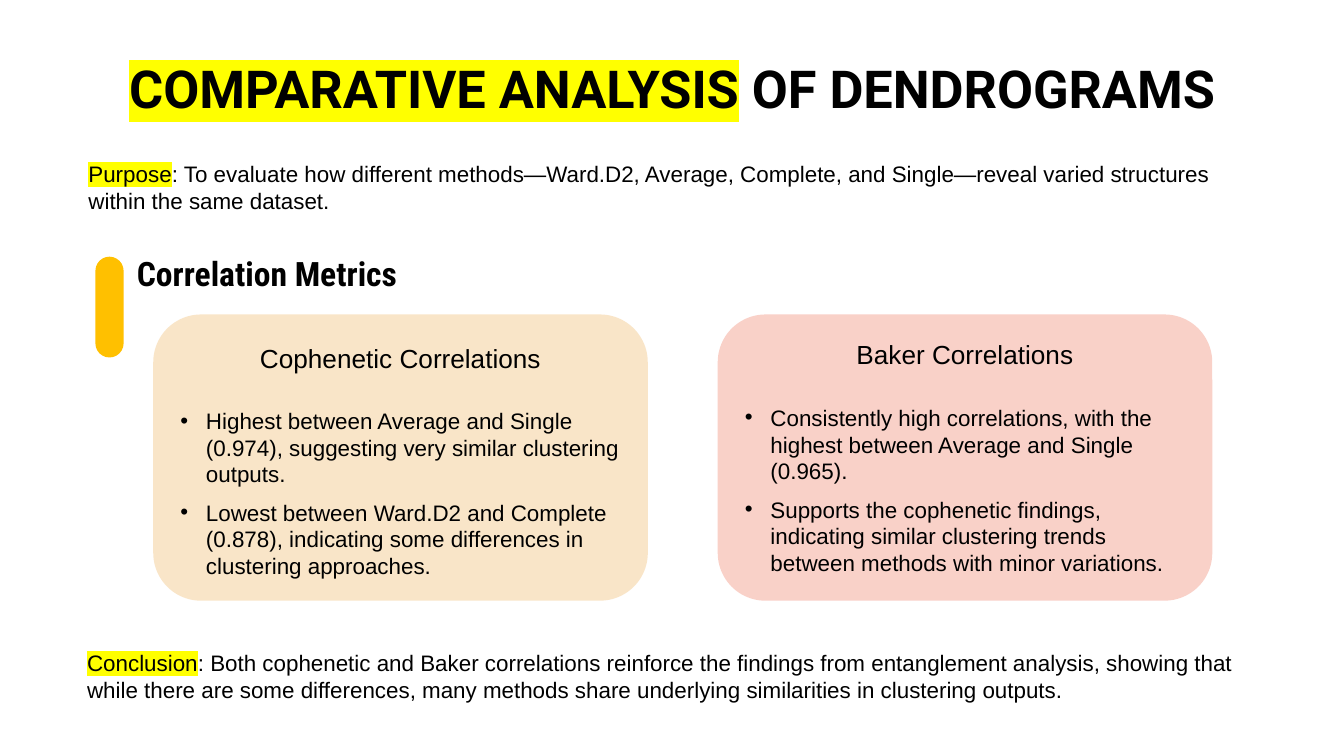
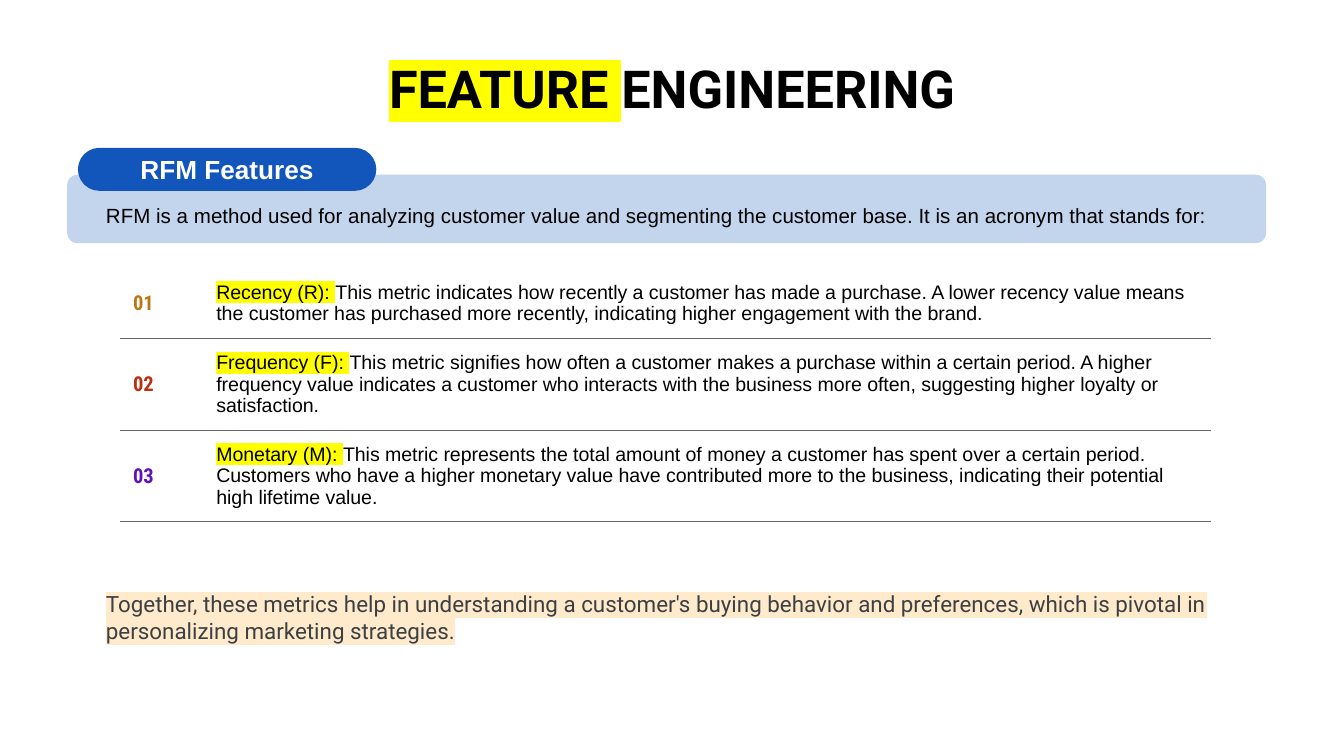
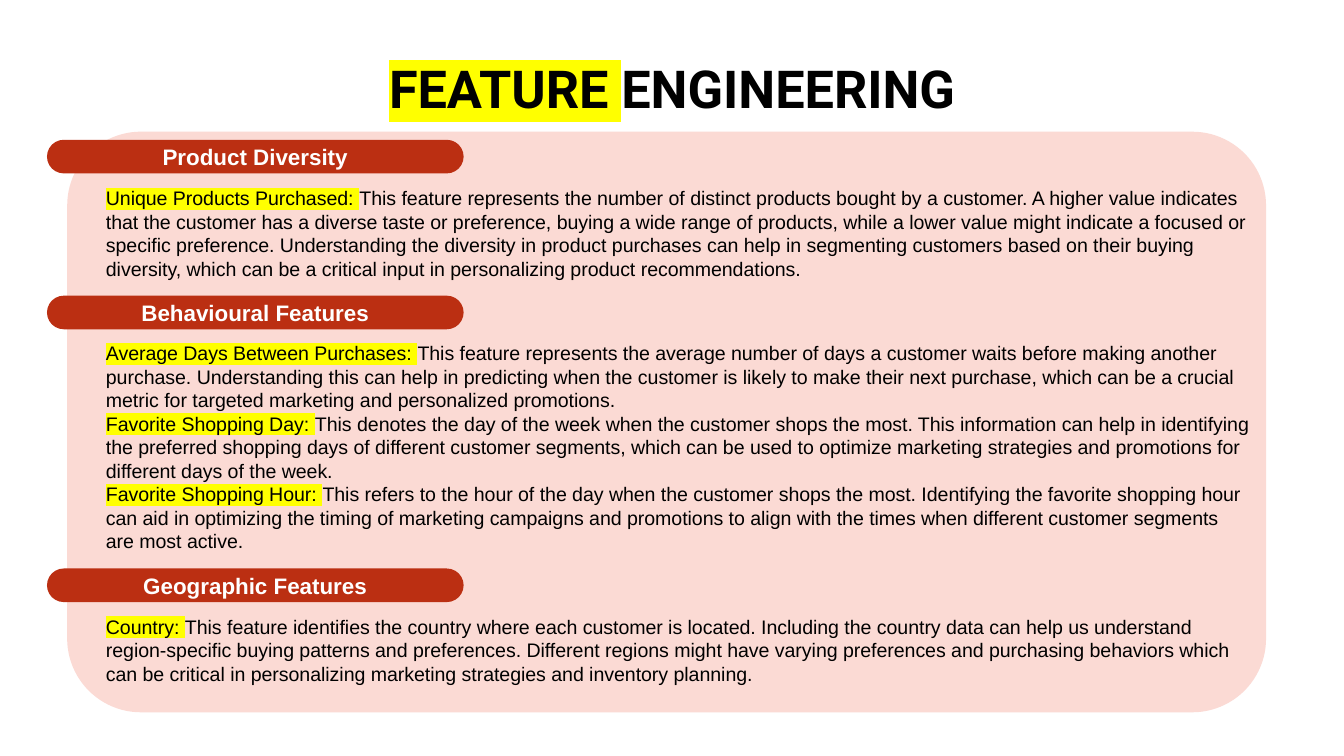
from lxml import etree
from pptx import Presentation
from pptx.dml.color import RGBColor
from pptx.enum.shapes import MSO_SHAPE
from pptx.enum.text import MSO_ANCHOR, MSO_AUTO_SIZE, PP_ALIGN
from pptx.oxml.ns import qn
from pptx.util import Inches, Pt

COLORS = {
    "black": "000000", "white": "FFFFFF", "yellow": "FFFF00", "cream": "FFEACC",
    "gray": "3C4043", "rule": "666666", "amber": "FFC000", "orange": "E99B27",
    "coral": "EA4827", "pink": "FBDAD4", "blue": "1256BB", "brown": "B97613",
    "red": "BB2F12", "purple": "5F12BB",
}
MID = MSO_ANCHOR.MIDDLE


def rgb(name):
    return RGBColor.from_string(COLORS[name])


def sub(parent, tag, **attrs):
    return etree.SubElement(parent, qn(tag), attrs)


def write(p, text, lead="", size=12, font="Arial", color="black", bold=False,
          mark="yellow", align=None, leading=None, before=None, after=None,
          bullet=False):
    if bullet:
        pPr = p._p.get_or_add_pPr()
        pPr.set("marL", str(Inches(0.19)))
        pPr.set("indent", str(-Inches(0.19)))
        sub(sub(pPr, "a:buClr"), "a:srgbClr", val=COLORS["black"])
        sub(pPr, "a:buFont", typeface="Arial")
        sub(pPr, "a:buChar", char="•")
    p.alignment = align
    if leading:
        p.line_spacing = Pt(size * leading)
    if before is not None:
        p.space_before = Pt(before)
    if after is not None:
        p.space_after = Pt(after)
    for words, marked in ((lead, True), (text, False)):
        if not words:
            continue
        r = p.add_run()
        r.text = words
        r.font.size = Pt(size)
        r.font.bold = bold
        r.font.color.rgb = rgb(color)
        r.font.name = font
        if marked:
            highlight = etree.Element(qn("a:highlight"))
            sub(highlight, "a:srgbClr", val=COLORS[mark])
            r._r.rPr.find(qn("a:solidFill")).addnext(highlight)


class Deck:
    def __init__(self):
        self.prs = Presentation()
        self.prs.slide_width = Inches(10)
        self.prs.slide_height = Inches(10) * 9 // 16

    def slide(self, lead, rest):
        self.s = self.prs.slides.add_slide(self.prs.slide_layouts[5])
        self.shapes = self.s.shapes
        sp = self.s.shapes.title
        sp.left, sp.top = Inches(0.5), Inches(0.45)
        sp.width, sp.height = Inches(9), Inches(0.41)
        tf = self.frame(sp, MID)
        write(tf.paragraphs[0], rest, lead, size=28, font="Roboto", bold=True,
              align=PP_ALIGN.CENTER)

    def group(self):
        self.shapes = self.s.shapes.add_group_shape().shapes

    def frame(self, sp, anchor, pad=0.1):
        tf = sp.text_frame
        tf.word_wrap = True
        tf.auto_size = MSO_AUTO_SIZE.NONE
        tf.vertical_anchor = anchor
        tf.margin_left = tf.margin_right = Inches(0.1)
        tf.margin_top = tf.margin_bottom = Inches(pad)
        return tf

    def text(self, x, y, w, h, paras, anchor=MID, pad=0.1, **fmt):
        sp = self.shapes.add_textbox(Inches(x), Inches(y), Inches(w), Inches(h))
        tf = self.frame(sp, anchor, pad)
        for i, (lead, text) in enumerate(paras):
            p = tf.add_paragraph() if i else tf.paragraphs[0]
            write(p, text, lead, **fmt)

    def round_rect(self, x, y, w, h, color, radius=0.5, alpha=None):
        sp = self.shapes.add_shape(MSO_SHAPE.ROUNDED_RECTANGLE, Inches(x), Inches(y),
                                   Inches(w), Inches(h))
        sp.adjustments[0] = radius
        sp.shadow.inherit = False
        sp.line.fill.background()
        sp.fill.solid()
        sp.fill.fore_color.rgb = rgb(color)
        if alpha:
            clr = sp._element.spPr.find(qn("a:solidFill"))[0]
            sub(clr, "a:alpha", val=str(alpha * 1000))
        return sp

    def pill(self, x, y, w, h, text, color, size):
        tf = self.frame(self.round_rect(x, y, w, h, color), MID)
        write(tf.paragraphs[0], text, size=size, color="white", bold=True,
              align=PP_ALIGN.CENTER)

    def card(self, x, heading, points, color, anchor):
        sp = self.round_rect(x, 2.34, 3.68, 2.13, color, 0.167, 25)
        tf = self.frame(sp, anchor)
        write(tf.paragraphs[0], heading, size=14, align=PP_ALIGN.CENTER,
              leading=1.2, after=12)
        for point in points:
            write(tf.add_paragraph(), point, align=PP_ALIGN.LEFT, leading=1.2,
                  before=6, bullet=True)

    def borders(self, cell, top):
        tcPr = cell._tc.get_or_add_tcPr()
        for tag, drawn in (("a:lnL", False), ("a:lnR", False),
                           ("a:lnT", top), ("a:lnB", True)):
            ln = sub(tcPr, tag, w=str(Pt(0.75)))
            if drawn:
                sub(sub(ln, "a:solidFill"), "a:srgbClr", val=COLORS["rule"])
            else:
                sub(ln, "a:noFill")

    def metrics_table(self, x, y, widths, heights, rows):
        tbl = self.shapes.add_table(len(rows), len(widths), Inches(x), Inches(y),
                                    Inches(sum(widths)), Inches(sum(heights))).table
        tbl.first_row = tbl.horz_banding = False
        for col, width in zip(tbl.columns, widths):
            col.width = Inches(width)
        for i, (color, lead, text) in enumerate(rows):
            tbl.rows[i].height = Inches(heights[i])
            number, metric = tbl.cell(i, 0), tbl.cell(i, 1)
            for cell in (number, metric):
                self.borders(cell, top=i > 0)
                cell.fill.background()
                cell.vertical_anchor = MID
                cell.margin_left = cell.margin_right = Inches(0.1)
                cell.margin_top = cell.margin_bottom = Inches(0.1)
            write(number.text_frame.paragraphs[0], f"{i + 1:02}", size=11,
                  font="Roboto Condensed", color=color, bold=True)
            write(metric.text_frame.paragraphs[0], text, lead, size=10.5, leading=1.1)


def dendrograms(d):
    d.slide("COMPARATIVE ANALYSIS", " OF DENDROGRAMS")
    for x, y, lead, text in (
        (0.56, 1.14, "Purpose", ": To evaluate how different methods—Ward.D2, Average, "
         "Complete, and Single—reveal varied structures within the same dataset."),
        (0.55, 4.78, "Conclusion", ": Both cophenetic and Baker correlations reinforce the "
         "findings from entanglement analysis, showing that while there are some differences, "
         "many methods share underlying similarities in clustering outputs."),
    ):
        d.text(x, y, 9, 0.5, [(lead, text)], MSO_ANCHOR.TOP, 0.05, leading=1.2)
    d.text(0.92, 1.85, 4.4, 0.36, [("", "Correlation Metrics")], size=18,
           font="Roboto Condensed", bold=True)
    d.round_rect(0.71, 1.91, 0.21, 0.75, "amber")
    d.card(5.34, "Baker Correlations", [
        "Consistently high correlations, with the highest between Average and Single (0.965).",
        "Supports the cophenetic findings, indicating similar clustering trends between "
        "methods with minor variations.",
    ], "coral", MID)
    d.card(1.14, "Cophenetic Correlations", [
        "Highest between Average and Single (0.974), suggesting very similar clustering outputs.",
        "Lowest between Ward.D2 and Complete (0.878), indicating some differences in "
        "clustering approaches.",
    ], "orange", MSO_ANCHOR.TOP)


def rfm_features(d):
    d.slide("FEATURE ", "ENGINEERING")
    d.metrics_table(0.89, 1.99, [0.62, 7.5], [0.53, 0.68, 0.68], [
        ("brown", "Recency (R): ",
         "This metric indicates how recently a customer has made a purchase. A lower recency "
         "value means the customer has purchased more recently, indicating higher engagement "
         "with the brand."),
        ("red", "Frequency (F): ",
         "This metric signifies how often a customer makes a purchase within a certain period. "
         "A higher frequency value indicates a customer who interacts with the business more "
         "often, suggesting higher loyalty or satisfaction."),
        ("purple", "Monetary (M): ",
         "This metric represents the total amount of money a customer has spent over a certain "
         "period. Customers who have a higher monetary value have contributed more to the "
         "business, indicating their potential high lifetime value."),
    ])
    d.round_rect(0.5, 1.3, 8.92, 0.51, "blue", 0.152, 25)
    d.pill(0.58, 1.1, 2.22, 0.32, "RFM Features", "blue", 14)
    d.text(0.69, 1.35, 8.73, 0.51, [
        ("", "RFM is a method used for analyzing customer value and segmenting the customer "
         "base. It is an acronym that stands for:")], size=11)
    d.text(0.69, 4.26, 8.73, 0.66, [
        ("Together, these metrics help in understanding a customer's buying behavior and "
         "preferences, which is pivotal in personalizing marketing strategies.", "")],
        font="Roboto", color="gray", mark="cream", leading=1.2)


def other_features(d):
    d.slide("FEATURE ", "ENGINEERING")
    d.round_rect(0.5, 0.98, 8.92, 4.32, "pink", 0.127)
    sections = [
        ("Product Diversity", 1.04, 1.27, 0.93, [
            ("Unique Products Purchased: ",
             "This feature represents the number of distinct products bought by a customer. A "
             "higher value indicates that the customer has a diverse taste or preference, buying "
             "a wide range of products, while a lower value might indicate a focused or specific "
             "preference. Understanding the diversity in product purchases can help in segmenting "
             "customers based on their buying diversity, which can be a critical input in "
             "personalizing product recommendations."),
        ]),
        ("Behavioural Features", 2.2, 2.4, 1.85, [
            ("Average Days Between Purchases: ",
             "This feature represents the average number of days a customer waits before making "
             "another purchase. Understanding this can help in predicting when the customer is "
             "likely to make their next purchase, which can be a crucial metric for targeted "
             "marketing and personalized promotions."),
            ("Favorite Shopping Day: ",
             "This denotes the day of the week when the customer shops the most. This information "
             "can help in identifying the preferred shopping days of different customer segments, "
             "which can be used to optimize marketing strategies and promotions for different "
             "days of the week."),
            ("Favorite Shopping Hour: ",
             "This refers to the hour of the day when the customer shops the most. Identifying "
             "the favorite shopping hour can aid in optimizing the timing of marketing campaigns "
             "and promotions to align with the times when different customer segments are most "
             "active."),
        ]),
        ("Geographic Features", 4.23, 4.37, 0.93, [
            ("Country: ",
             "This feature identifies the country where each customer is located. Including the "
             "country data can help us understand region-specific buying patterns and "
             "preferences. Different regions might have varying preferences and purchasing "
             "behaviors which can be critical in personalizing marketing strategies and "
             "inventory planning."),
        ]),
    ]
    for heading, pill_y, text_y, text_h, paras in sections:
        d.group()
        d.text(0.69, text_y, 8.73, text_h, paras, size=10.5, leading=1.2)
        d.pill(0.35, pill_y, 3.1, 0.25, heading, "red", 12)


def main():
    d = Deck()
    dendrograms(d)
    rfm_features(d)
    other_features(d)
    d.prs.save("out.pptx")


if __name__ == "__main__":
    main()
